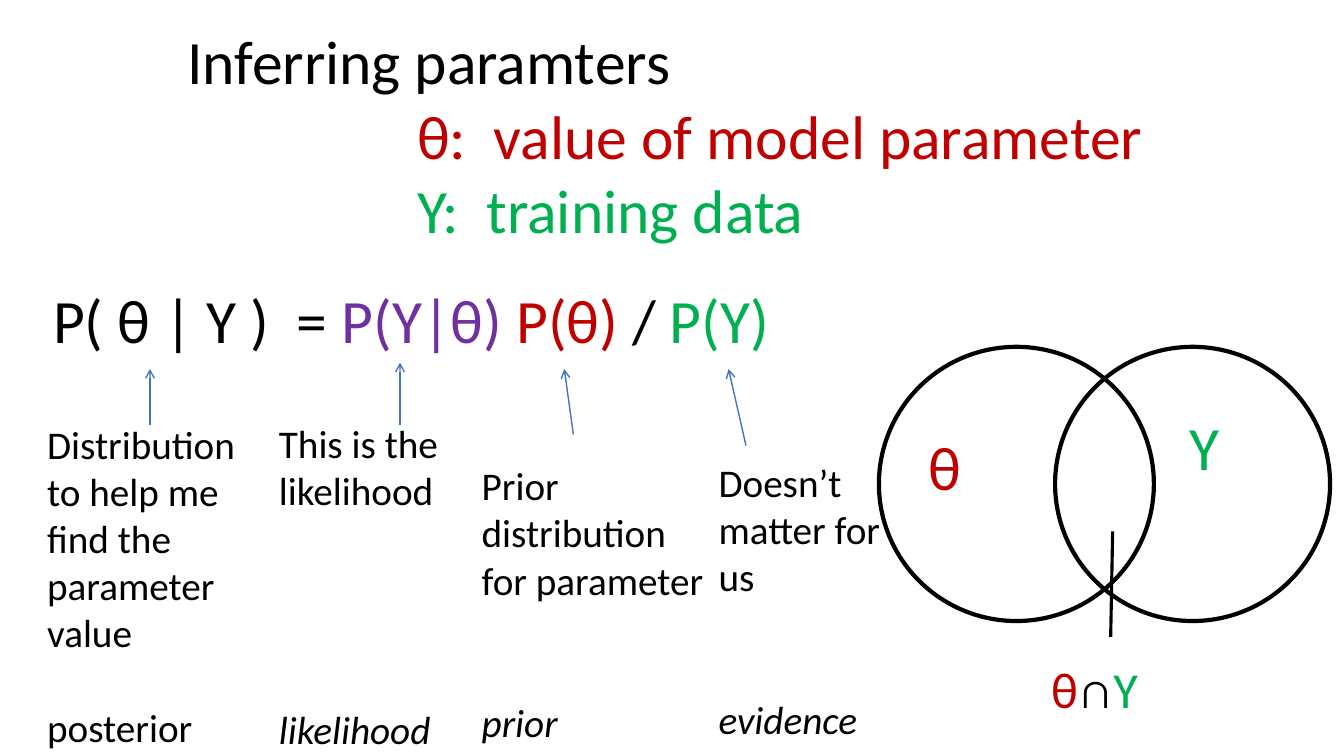
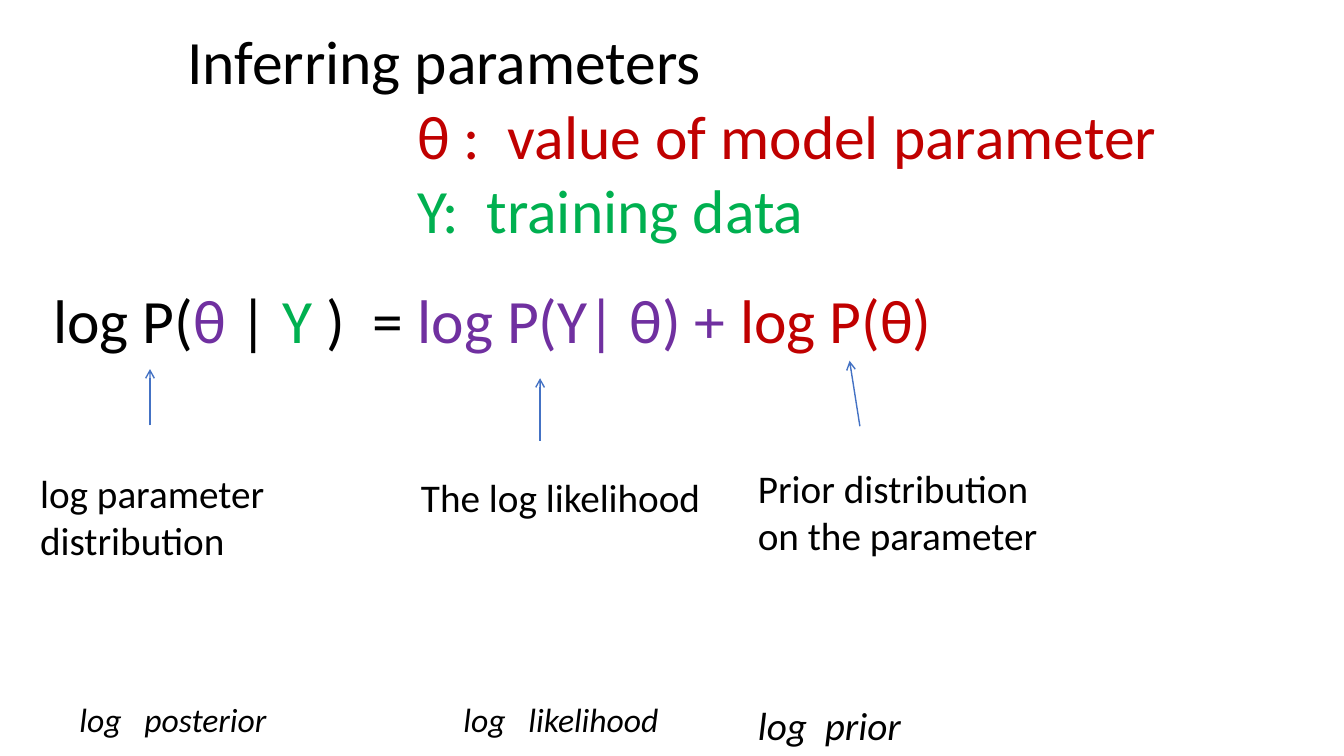
from dataclasses import dataclass

from lxml.etree import SubElement
from pptx import Presentation
from pptx.dml.color import RGBColor
from pptx.enum.shapes import MSO_CONNECTOR, MSO_SHAPE
from pptx.enum.text import MSO_ANCHOR
from pptx.oxml.ns import qn
from pptx.util import Cm, Pt


@dataclass(frozen=True)
class Theme:
    font: str = "Calibri"
    ink: str = "000000"
    theta: str = "C00000"
    data: str = "00B050"
    likelihood: str = "7030A0"
    arrow: str = "4472C4"
    large: int = 44
    medium: int = 36
    body: int = 28
    small: int = 24
    line_height: float = 1.22


THEME = Theme()
TITLE_BOX = (4.47, 0.18, 24.74, 2.9)
MEANING_BOX = (10.26, 2.34, 21, 4.01)
FORMULA_BOX = (1.09, 6.99, 24, 2.13)

SLIDES = [
    {
        "title": "Inferring paramters",
        "theta": "θ:  value of model parameter",
        "formula": [("P( θ | Y )  = ", THEME.ink), ("P(Y|θ) ", THEME.likelihood),
                    ("P(θ) ", THEME.theta), ("/ ", THEME.ink), ("P(Y)", THEME.data)],
        "notes": [
            ((0.94, 10.46, 6.27, 8.59),
             ["Distribution", "to help me", "find the", "parameter value"], "posterior", 1, False),
            ((6.78, 10.44, 5, 8.61), ["This is the", "likelihood"], "likelihood", 4, True),
            ((11.89, 11.51, 6.5, 7.44),
             ["Prior", "distribution", "for parameter"], "prior", 2, True),
            ((17.86, 11.43, 4.88, 7.44), ["Doesn’t", "matter for", "us"], "evidence", 2, True),
        ],
        "arrows": [(3.78, 10.72, 3.78, 9.3), (10.08, 10.72, 10.08, 9.14),
                   (14.45, 10.95, 14.22, 9.3), (18.8, 11.23, 18.36, 9.3)],
        "terms": [],
    },
    {
        "title": "Inferring parameters",
        "theta": "θ :  value of model parameter",
        "formula": [("log P(", THEME.ink), ("θ", THEME.likelihood), (" | ", THEME.ink),
                    ("Y", THEME.data), (" )  = ", THEME.ink),
                    ("log P(Y| θ) + ", THEME.likelihood), ("log P(θ)", THEME.theta)],
        "notes": [
            ((0.76, 11.71, 6.27, 2.64), ["log parameter distribution"], None, 0, False),
            ((10.36, 11.81, 8, 1.5), ["The log likelihood"], None, 0, False),
            ((18.85, 11.58, 8, 7.44),
             ["Prior distribution", "on the parameter"], "log  prior", 3, True),
        ],
        "arrows": [(3.78, 10.72, 3.78, 9.3), (13.61, 11.1, 13.61, 9.53),
                   (21.67, 10.74, 21.41, 9.09)],
        "terms": [((11.43, 17.48, 6, 1.27), "log   likelihood"),
                  ((1.75, 17.48, 6, 1.27), "log   posterior")],
    },
]

VENN = {
    "left": 22.15, "top": 8.74, "width": 6.93, "height": 6.91, "step": 4.44,
    "labels": [
        ((29.74, 10.19, 1.8, 2.13), [("Y", THEME.data)], THEME.large),
        ((23.16, 10.69, 1.8, 2.13), [("θ", THEME.theta)], THEME.large),
        ((26.24, 16.46, 3.2, 1.8),
         [("θ", THEME.theta), ("∩", THEME.ink), ("Y", THEME.data)], THEME.medium),
    ],
    "pointer": (27.99, 16.05, 28.04, 13.39),
}


def rgb(value):
    return RGBColor.from_string(value)


def add_text(slide, box, paragraphs, size):
    frame = slide.shapes.add_textbox(*map(Cm, box)).text_frame
    frame.word_wrap = True
    for index, parts in enumerate(paragraphs):
        paragraph = frame.add_paragraph() if index else frame.paragraphs[0]
        paragraph.font.name = THEME.font
        paragraph.font.size = Pt(size)
        for text, colour in parts:
            run = paragraph.add_run()
            run.text = text
            if len(parts) > 1:
                run.font.color.rgb = rgb(colour)
            else:
                paragraph.font.color.rgb = rgb(colour)
    return frame


def add_line(slide, ends, colour, weight, arrow=False):
    connector = slide.shapes.add_connector(MSO_CONNECTOR.STRAIGHT, *map(Cm, ends))
    connector.line.color.rgb = rgb(colour)
    connector.line.width = Pt(weight)
    if arrow:
        outline = connector.line._get_or_add_ln()
        SubElement(outline, qn("a:tailEnd"), type="arrow")
    SubElement(connector._element.spPr, qn("a:effectLst"))


def add_note(slide, box, lines, term, gap_lines, italic):
    texts = lines + ([term] if term else [])
    frame = add_text(slide, box, [[(text, THEME.ink)] for text in texts], THEME.body)
    if term:
        paragraph = frame.paragraphs[-1]
        paragraph.space_before = Pt(round(gap_lines * THEME.body * THEME.line_height))
        paragraph.font.italic = italic


def add_venn(slide):
    for index in range(2):
        circle = slide.shapes.add_shape(
            MSO_SHAPE.OVAL, Cm(VENN["left"] + index * VENN["step"]), Cm(VENN["top"]),
            Cm(VENN["width"]), Cm(VENN["height"]))
        circle.shadow.inherit = False
        circle.fill.background()
        circle.line.color.rgb = rgb(THEME.ink)
        circle.line.width = Pt(3)
    for box, parts, size in VENN["labels"]:
        add_text(slide, box, [parts], size)
    add_line(slide, VENN["pointer"], THEME.ink, 2.25)


def add_slide(deck, content):
    slide = deck.slides.add_slide(deck.slide_layouts[6])
    title = add_text(slide, TITLE_BOX, [[(content["title"], THEME.ink)]], THEME.large)
    title.vertical_anchor = MSO_ANCHOR.MIDDLE
    title.paragraphs[0].line_spacing = 0.9
    meanings = [[(content["theta"], THEME.theta)], [("Y:  training data", THEME.data)]]
    add_text(slide, MEANING_BOX, meanings, THEME.large)
    add_text(slide, FORMULA_BOX, [content["formula"]], THEME.large)
    for note in content["notes"]:
        add_note(slide, *note)
    for ends in content["arrows"]:
        add_line(slide, ends, THEME.arrow, 1, arrow=True)
    for box, term in content["terms"]:
        frame = add_text(slide, box, [[(term, THEME.ink)]], THEME.small)
        frame.paragraphs[0].font.italic = True
    return slide


def main():
    deck = Presentation()
    deck.slide_width, deck.slide_height = Cm(33.87), Cm(19.05)
    inference, _ = [add_slide(deck, content) for content in SLIDES]
    add_venn(inference)
    deck.save("out.pptx")


if __name__ == "__main__":
    main()
